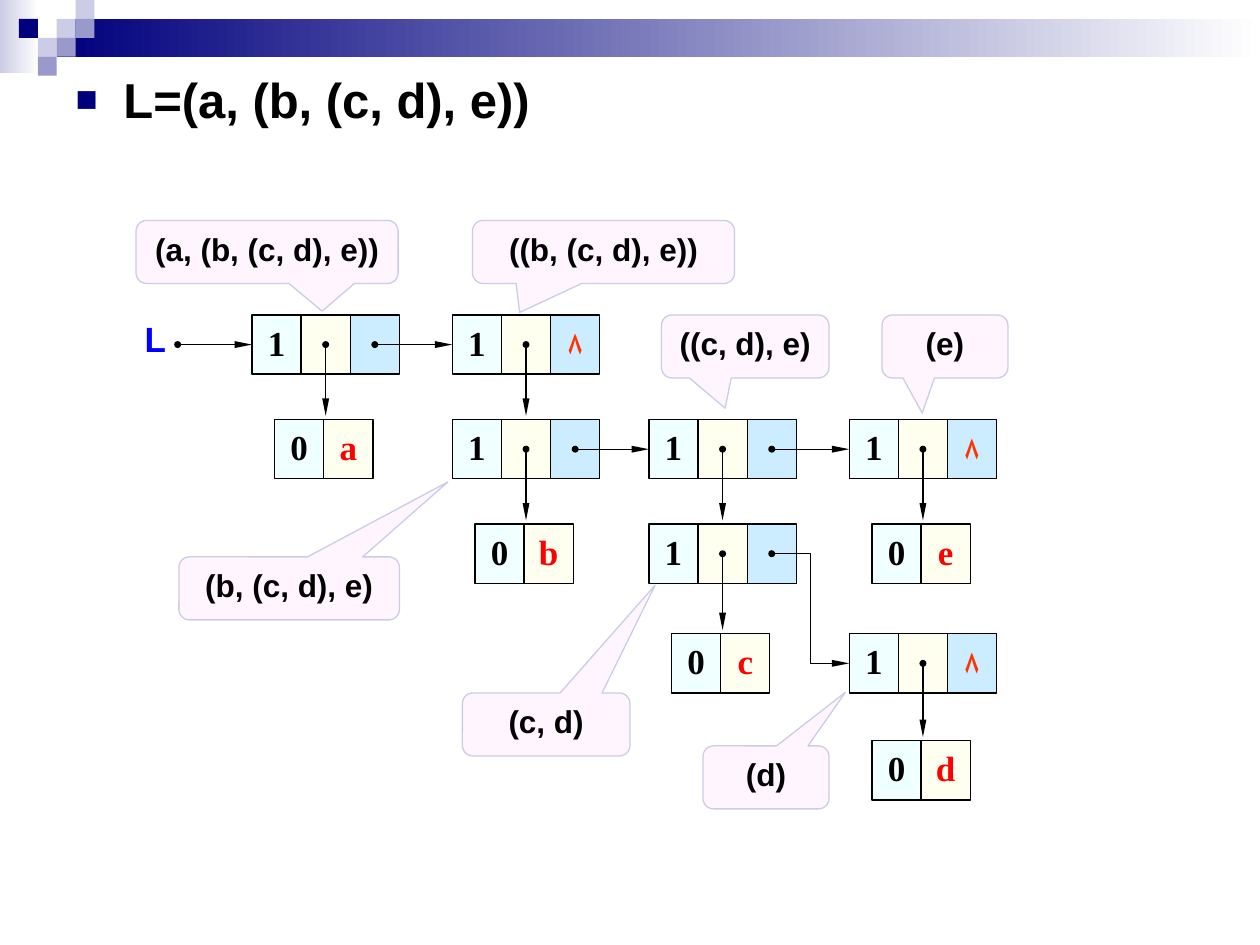
"""Build a slide that draws the linked storage of the generalized list L."""
from lxml import etree
from pptx import Presentation, util as u
from pptx.dml.color import RGBColor
from pptx.enum import shapes, text
from pptx.oxml import parse_xml
from pptx.oxml.ns import nsdecls, qn

COLORS = {
    "navy": "00007D", "lilac": "CCCCE6", "violet": "9999CC", "white": "FFFFFF",
    "black": "000000", "blue": "0000FF", "red": "FF0000", "orange": "FF3300",
    "tag": "F0FFFF", "head": "FFFFF0", "tail": "CCECFF", "callout": "FFF5FF",
}
HEADING = "L=(a, (b, (c, d), e))"
BANDS = [((0, 0, 0.31, 0.58), "lilac"), ((0.45, 0.15, 9.55, 0.3), "navy")]
SQUARES = [(3, 1, "lilac"), (4, 0, "lilac"), (4, 1, "violet"), (2, 2, "lilac"),
           (1, 1, "navy"), (3, 2, "violet"), (2, 3, "violet")]
SQUARE = 0.15
COLUMNS = (2, 3.59, 5.15, 6.74)
ROWS = (2.5, 3.33, 4.16, 5.03, 5.88)
CELL_W, CELL_H = 0.39, 0.47
ATOM_SHIFT = 0.18
ARROW_GAP = 0.03
NULL = "۸"
NODES = [
    {"at": (0, 0), "atom": "a", "next": (1, 0)},
    {"at": (1, 0)},
    {"at": (1, 1), "atom": "b", "next": (2, 1)},
    {"at": (2, 1), "next": (3, 1)},
    {"at": (2, 2), "atom": "c", "next": (3, 3)},
    {"at": (3, 3), "atom": "d"},
    {"at": (3, 1), "atom": "e"},
]
CALLOUTS = [
    ("(a, (b, (c, d), e))", 1.08, 1.75, 2.08, (0.21, 0.94)),
    ("((b, (c, d), e))", 3.75, 1.75, 2.08, (-0.32, 0.96)),
    ("(b, (c, d), e)", 1.42, 4.42, 1.75, (0.72, -1.69)),
    ("((c, d), e)", 5.25, 2.5, 1.33, (-0.12, 0.98)),
    ("(c, d)", 3.67, 5.5, 1.33, (0.65, -2.21)),
    ("(d)", 5.58, 5.92, 1, (0.63, -1.35)),
    ("(e)", 7, 2.5, 1, (-0.18, 1.06)),
]


def color(name):
    """Return the named colour."""
    return RGBColor.from_string(COLORS[name])


def write(box, words, size=18, font="Arial", ink="black", center=True,
          wrap=True, anchor=text.MSO_ANCHOR.TOP, top=0.05):
    """Put one bold paragraph into a shape and return it."""
    frame = box.text_frame
    frame.word_wrap, frame.vertical_anchor = wrap, anchor
    frame.margin_top = u.Inches(top)
    para = frame.paragraphs[0]
    para.alignment = text.PP_ALIGN.CENTER if center else text.PP_ALIGN.LEFT
    para.space_before = u.Pt(0)
    span = para.add_run()
    span.text = words
    span.font.size, span.font.name, span.font.bold = u.Pt(size), font, True
    span.font.color.rgb = color(ink)
    etree.SubElement(span._r.get_or_add_rPr(), qn("a:cs"), typeface=font)
    return para


def add_box(page, place, fill, line=None, kind=shapes.MSO_SHAPE.RECTANGLE):
    """Add a filled preset shape."""
    box = page.shapes.add_shape(kind, *map(u.Inches, place))
    box.shadow.inherit = False
    box.fill.solid()
    box.fill.fore_color.rgb = color(fill)
    if line:
        box.line.color.rgb, box.line.width = color(line), u.Pt(0.75)
    else:
        box.line.fill.background()
    return box


def add_cell(page, x, y, fill, words="", **style):
    """Add one field of a node."""
    cell = add_box(page, (x, y, CELL_W, CELL_H), fill, "black")
    if words:
        write(cell, words, wrap=False, anchor=text.MSO_ANCHOR.MIDDLE, top=0.01,
              **{"size": 20, "font": "Times New Roman", **style})
    return cell


def style_arrow(arrow):
    """Give a line a round start and an arrowhead."""
    arrow.line.color.rgb, arrow.line.width = color("black"), u.Pt(0.75)
    line = arrow.line._get_or_add_ln()
    etree.SubElement(line, qn("a:headEnd"), type="oval", w="sm", len="sm")
    etree.SubElement(line, qn("a:tailEnd"), type="triangle", w="sm", len="lg")


def add_arrow(page, start, end, target=None):
    """Add a straight arrow, joined to the left side of a target cell."""
    arrow = page.shapes.add_connector(
        shapes.MSO_CONNECTOR.STRAIGHT, *map(u.Inches, start + end))
    if target is not None:
        arrow.end_connect(target, 1)
    style_arrow(arrow)
    etree.SubElement(arrow._element.spPr, qn("a:effectLst"))


def add_step(page, start, end):
    """Add an arrow that goes across, down and across."""
    middle = (start[0] + end[0]) / 2
    corners = [start, (middle, start[1]), (middle, end[1]), end]
    points = [(u.Inches(x), u.Inches(y)) for x, y in corners]
    builder = page.shapes.build_freeform(*points[0])
    builder.add_line_segments(points[1:], close=False)
    step = builder.convert_to_shape()
    step.shadow.inherit = False
    step.fill.background()
    style_arrow(step)


def add_background(page):
    """Draw the gradient bands and the corner squares."""
    for place, start in BANDS:
        band = add_box(page, place, start)
        band.fill.gradient()
        band.fill.gradient_angle = 0
        for stop, name, share in zip(band.fill.gradient_stops, (start, "white"), (0, 1)):
            stop.color.rgb, stop.position = color(name), share
    for column, row, fill in SQUARES:
        add_box(page, (column * SQUARE, row * SQUARE, SQUARE, SQUARE), fill)


def add_heading(page):
    """Fill the body placeholder with the bulleted list definition."""
    page.shapes.title._element.getparent().remove(page.shapes.title._element)
    body = page.placeholders[1]
    body.left, body.top, body.width, body.height = map(u.Inches, (0.5, 0.5, 9, 7))
    para = write(body, HEADING, size=28, center=False)
    body.text_frame.auto_size = text.MSO_AUTO_SIZE.NONE
    props = para._p.get_or_add_pPr()
    props.set("marL", str(u.Inches(0.38)))
    props.set("indent", str(-u.Inches(0.38)))
    for bullet in (f'<a:buClr {nsdecls("a")}><a:srgbClr val="{COLORS["navy"]}"/></a:buClr>',
                   f'<a:buSzPct {nsdecls("a")} val="75000"/>',
                   f'<a:buFont {nsdecls("a")} typeface="Arial"/>',
                   f'<a:buChar {nsdecls("a")} char="■"/>'):
        props.append(parse_xml(bullet))


def add_nodes(page):
    """Draw the nodes and atoms, then the arrows between them."""
    tags = {}
    for node in NODES:
        column, row = node["at"]
        x, y = COLUMNS[column], ROWS[row]
        tags[node["at"]] = add_cell(page, x, y, "tag", "1")
        add_cell(page, x + CELL_W, y, "head")
        add_cell(page, x + 2 * CELL_W, y, "tail", "" if "next" in node else NULL,
                 size=18, font="Arial", ink="orange")
        if "atom" in node:
            left, below = x + ATOM_SHIFT, ROWS[row + 1]
            add_cell(page, left, below, "tag", "0")
            add_cell(page, left + CELL_W, below, "head", node["atom"], ink="red")
    for node in NODES:
        column, row = node["at"]
        x, y = COLUMNS[column], ROWS[row] + CELL_H / 2
        down = x + 1.5 * CELL_W
        add_arrow(page, (down, y), (down, ROWS[row + 1] - ARROW_GAP))
        if "next" in node:
            to_column, to_row = node["next"]
            start = (x + 2.5 * CELL_W, y)
            end = (COLUMNS[to_column], ROWS[to_row] + CELL_H / 2)
            if to_row == row:
                add_arrow(page, start, end, tags[node["next"]])
            else:
                add_step(page, start, end)
    label = page.shapes.add_textbox(*map(u.Inches, (1.05, 2.47, 0.37, 0.44)))
    write(label, "L", size=20, ink="blue", center=False, wrap=False)
    label.text_frame.auto_size = text.MSO_AUTO_SIZE.SHAPE_TO_FIT_TEXT
    y = ROWS[0] + CELL_H / 2
    add_arrow(page, (1.41, y), (COLUMNS[0], y), tags[0, 0])


def add_callouts(page):
    """Name the sublist that each node stands for."""
    for words, x, y, width, tip in CALLOUTS:
        callout = add_box(page, (x, y, width, 0.5), "callout", "lilac",
                          shapes.MSO_SHAPE.ROUNDED_RECTANGULAR_CALLOUT)
        callout.adjustments[0], callout.adjustments[1] = tip
        write(callout, words)


def main():
    """Build and save the deck."""
    deck = Presentation()
    deck.slide_width, deck.slide_height = u.Inches(10), u.Inches(7.5)
    page = deck.slides.add_slide(deck.slide_layouts[1])
    for add_part in (add_background, add_heading, add_nodes, add_callouts):
        add_part(page)
    deck.save("out.pptx")


if __name__ == "__main__":
    main()
